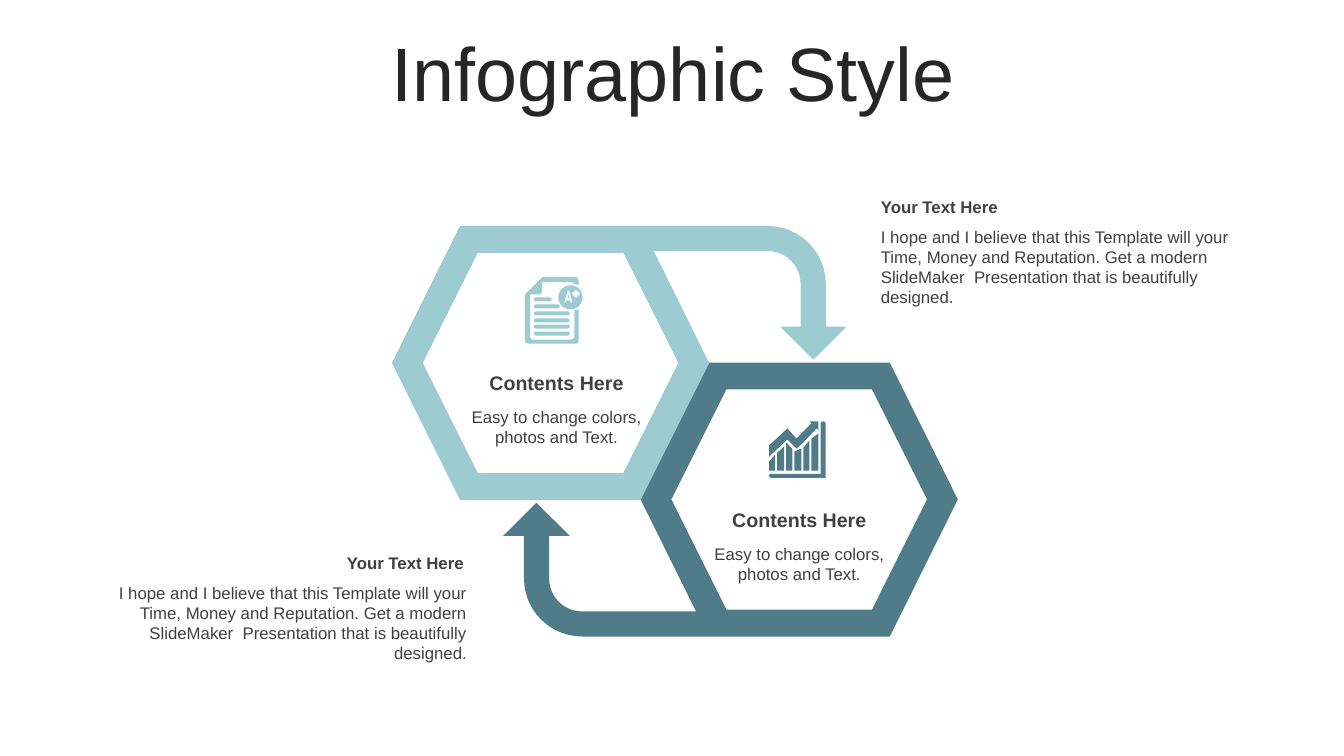
"""Builds a slide with two interlocking hexagon arrows, icons and captions."""
import math

from pptx import Presentation
from pptx import util as u
from pptx.dml.color import RGBColor
from pptx.enum import text

COLORS = {"title": "262626", "body": "404040", "light": "9CCCD2", "dark": "507C89"}
ALIGN = text.PP_ALIGN
ICON_UNIT = 0.72
CURVE_STEPS = 12
TURN_X, TURN_Y = 964.2, 616.1

HEXAGON_ARROW = [
    [(341.3, 180.7), (302, 259.3), (341.3, 337.9),
     (445.3, 337.9), (484.6, 259.3), (445.3, 180.7)],
    [(548.3, 161.4), (571.2, 161.4, 589.9, 180, 589.9, 202.8), (589.9, 233.3),
     (604.8, 233.3), (581, 256.9), (557.2, 233.3), (571.9, 233.3), (571.9, 202.8),
     (571.9, 189.8, 561.4, 179.3, 548.3, 179.3), (467, 179.3), (506.6, 259.3),
     (457.6, 357.1), (328.6, 357.1), (280, 259.3), (328.6, 161.4)],
]
BARS = [(0, 6, 40, 33), (8, 15, 31, 25), (17, 23, 21, 27),
        (25, 32, 30, 27), (34, 40, 26, 19), (42, 49, 17, 12)]
CHART_ICON = [[(left, start), (right, end), (right, 49), (left, 49)]
              for left, right, start, end in BARS] + [
    [(49, 0), (49, 9), (47, 7), (33, 22), (27, 27), (18, 18), (0, 35),
     (0, 24), (18, 7), (27, 17), (42, 2), (40, 0)],
    [(53, 0), (55, 0, 56, 1, 56, 2), (56, 56), (2, 56), (1, 56, 0, 55, 0, 54),
     (0, 53, 1, 52, 2, 52), (51, 52), (51, 2), (51, 1, 52, 0, 53, 0)],
]
TEXT_LINES = [(20, 26), (27, 34), (34, 44), (41, 44), (47, 44), (54, 44)]
DOCUMENT_ICON = [
    [(11, top), (right - 2, top), (right + 1, top, right + 1, top + 4, right - 2, top + 4),
     (11, top + 4), (8, top + 4, 8, top, 11, top)] for top, right in TEXT_LINES] + [
    [(45 + 12 * math.cos(math.radians(angle)), 20 + 12 * math.sin(math.radians(angle)))
     for angle in range(0, 360, 10)],
    [(43, 13), (42, 14), (39, 25), (41, 25), (41, 23), (44, 23), (45, 25), (47, 25), (44, 14)],
    [(43, 17), (44, 21), (42, 21)],
    [(49, 13), (49, 15), (47, 15), (47, 18), (49, 18), (49, 20),
     (52, 20), (52, 18), (54, 18), (54, 15), (52, 15), (52, 13)],
    [(17, 0), (50, 0), (52, 0, 53, 2, 53, 3), (53, 8), (52, 7, 50, 7, 48, 7),
     (48, 5, 47, 5, 46, 5), (17, 5), (17, 14), (17, 15, 15, 17, 14, 17), (5, 17),
     (5, 59), (5, 60, 6, 62, 7, 62), (46, 62), (47, 62, 49, 60, 49, 59), (49, 33),
     (50, 33, 52, 32, 53, 32), (53, 63), (53, 65, 52, 66, 50, 66), (4, 66),
     (2, 66, 0, 65, 0, 63), (0, 17)],
]
DESCRIPTION = ("I hope and I believe that this Template will your Time, Money and Reputation. "
               "Get a modern SlideMaker  Presentation that is beautifully designed.")


def flatten(contour):
    """Turn corners (pairs) and Bézier curves (six numbers) into a list of points."""
    points = []
    for node in contour:
        if len(node) == 2:
            points.append(node)
            continue
        controls = [points[-1], node[:2], node[2:4], node[4:]]
        for step in range(1, CURVE_STEPS + 1):
            t = step / CURVE_STEPS
            weights = ((1 - t) ** 3, 3 * t * (1 - t) ** 2, 3 * t * t * (1 - t), t ** 3)
            points.append(tuple(sum(w * point[axis] for w, point in zip(weights, controls))
                                for axis in (0, 1)))
    return points


class Infographic:
    """Holds the style and the current slide."""

    font = "Arial"

    def __init__(self, presentation):
        """Add a title-only slide."""
        self.slide = presentation.slides.add_slide(presentation.slide_layouts[5])

    def add_words(self, shape, words, size, color, align, bold=False):
        """Put one styled run into a shape and return its paragraph."""
        shape.text_frame.word_wrap = True
        paragraph = shape.text_frame.paragraphs[0]
        paragraph.alignment = align
        run = paragraph.add_run()
        run.text = words
        run.font.name, run.font.size, run.font.bold = self.font, u.Pt(size), bold
        run.font.color.rgb = RGBColor.from_string(COLORS[color])
        return paragraph

    def title(self, words, left, top, width, height):
        """Move and format the title placeholder."""
        shape = self.slide.shapes.title
        shape.left, shape.top, shape.width, shape.height = map(u.Pt, (left, top, width, height))
        shape.text_frame.auto_size = text.MSO_AUTO_SIZE.NONE
        shape.text_frame.vertical_anchor = text.MSO_ANCHOR.MIDDLE
        paragraph = self.add_words(shape, words, 54, "title", ALIGN.CENTER)
        paragraph.line_spacing, paragraph.space_before = 0.9, u.Pt(10)

    def label(self, words, left, top, width, height, align, size=12, bold=False):
        """Add a text box."""
        shape = self.slide.shapes.add_textbox(*map(u.Pt, (left, top, width, height)))
        self.add_words(shape, words, size, "body", align, bold)

    def outline(self, contours, color, left=0, top=0, scale=1):
        """Add one filled freeform; inner contours become holes."""
        builder = None
        for contour in contours:
            points = [(u.Pt(left + x * scale), u.Pt(top + y * scale)) for x, y in flatten(contour)]
            if builder is None:
                builder = self.slide.shapes.build_freeform(*points[0])
            else:
                builder.move_to(*points[0])
            builder.add_line_segments(points[1:], close=True)
        shape = builder.convert_to_shape()
        shape.shadow.inherit = False
        shape.fill.solid()
        shape.fill.fore_color.rgb = RGBColor.from_string(COLORS[color])
        shape.line.fill.background()

    def caption(self, left, top, heading_width, width, align):
        """Add a bold heading above a description."""
        self.label(DESCRIPTION, left, top + 21.6, width, 65.5, align)
        self.label("Your Text Here", left, top, heading_width, 21.6, align, bold=True)

    def contents(self, left, top):
        """Add the centred words inside a hexagon."""
        self.label("Easy to change colors, photos and Text.", left, top + 25.6, 142.6, 36.7,
                   ALIGN.CENTER)
        self.label("Contents Here", left, top, 142.6, 23.8, ALIGN.CENTER, 14, True)


def main():
    """Build and save the slide."""
    presentation = Presentation()
    presentation.slide_width, presentation.slide_height = u.Pt(960), u.Pt(540)
    infographic = Infographic(presentation)
    infographic.title("Infographic Style", 25.2, 26.6, 911.5, 56.9)
    infographic.outline(HEXAGON_ARROW, "dark", TURN_X, TURN_Y, -1)
    infographic.outline(HEXAGON_ARROW, "light")
    infographic.caption(622.1, 136.8, 282.2, 282.2, ALIGN.LEFT)
    infographic.caption(53.3, 391, 285.1, 287.3, ALIGN.RIGHT)
    infographic.contents(326.2, 261.4)
    infographic.contents(499.7, 359.3)
    infographic.outline(CHART_ICON, "dark", 549.4, 301, ICON_UNIT)
    infographic.outline(DOCUMENT_ICON, "light", 375.1, 198, ICON_UNIT)
    presentation.save("out.pptx")


if __name__ == "__main__":
    main()
